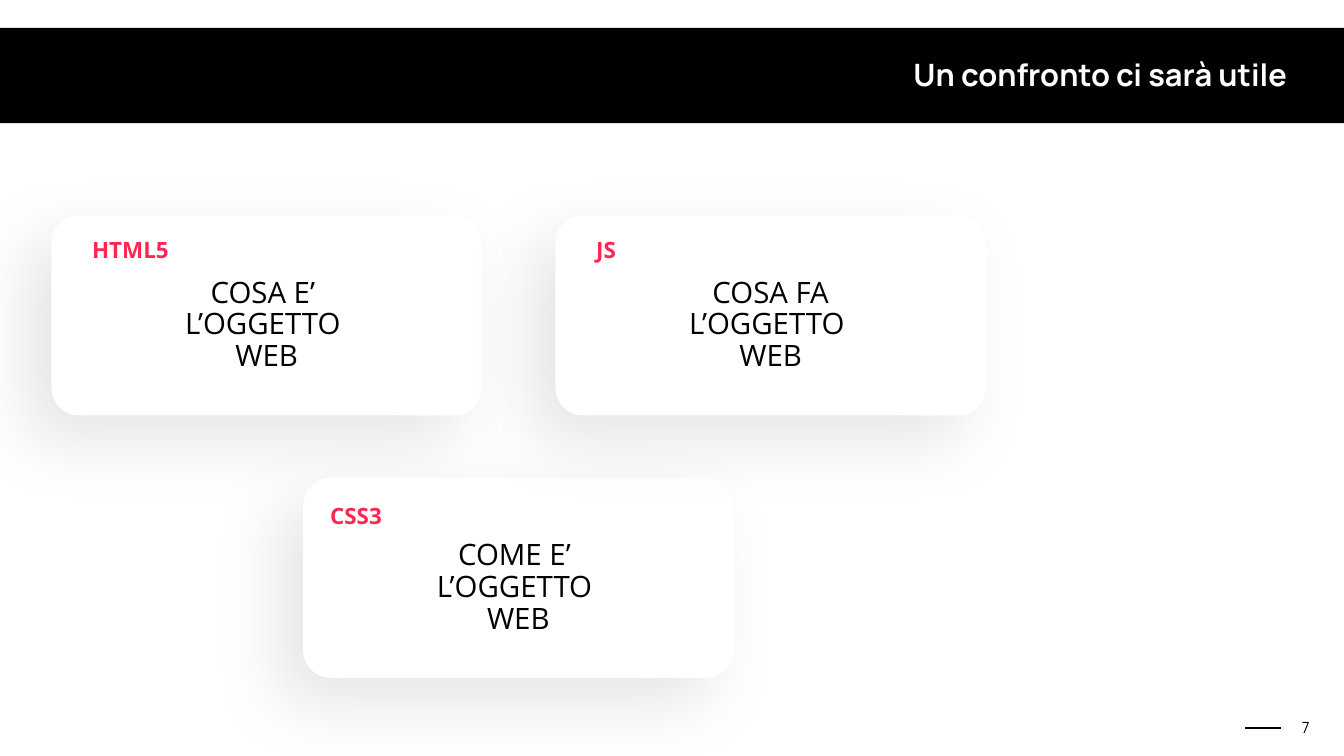
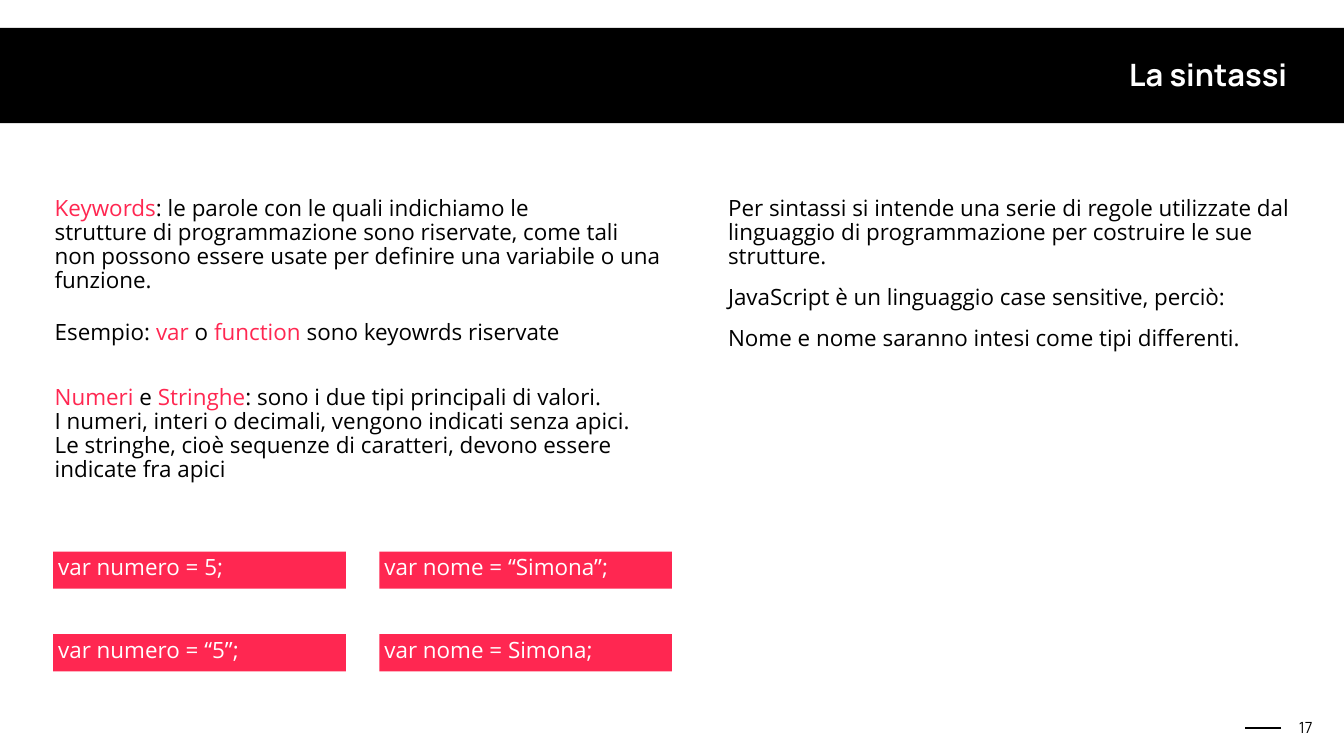
from lxml.etree import SubElement
from pptx import Presentation
from pptx.dml.color import RGBColor
from pptx.enum.shapes import MSO_CONNECTOR as LINE, MSO_SHAPE as SHAPE
from pptx.enum.text import MSO_ANCHOR as ANCHOR, PP_ALIGN as ALIGN
from pptx.oxml.ns import qn
from pptx.util import Pt

BLACK = RGBColor(0x00, 0x00, 0x00)
WHITE = RGBColor(0xFF, 0xFF, 0xFF)
PINK = RGBColor(0xFF, 0x27, 0x51)
TITLE_FONT = "Manrope"
BODY_FONT = "Open Sans"


def write(box, paragraphs, size=32, font=BODY_FONT, align=ALIGN.LEFT,
          anchor=ANCHOR.TOP, bold=False, inset=7.2, top=None, wrap=True):
    """Fill a box; each paragraph is (space before, [(text, colour), ...])."""
    frame = box.text_frame
    frame.word_wrap = wrap
    frame.vertical_anchor = anchor
    frame.margin_left = frame.margin_right = frame.margin_bottom = Pt(inset)
    frame.margin_top = Pt(inset if top is None else top)
    for index, (gap, spans) in enumerate(paragraphs):
        para = frame.add_paragraph() if index else frame.paragraphs[0]
        para.alignment = align
        para.line_spacing = 0.9
        para.space_before = Pt(gap)
        for text, colour in spans:
            span = para.add_run()
            span.text = text
            span.font.name = font
            span.font.size = Pt(size)
            span.font.bold = bold
            span.font.color.rgb = colour


def add_block(page, kind, left, top, width, height, colour):
    """Add a filled shape without outline or shadow."""
    block = page.shapes.add_shape(kind, Pt(left), Pt(top), Pt(width), Pt(height))
    block.fill.solid()
    block.fill.fore_color.rgb = colour
    block.line.fill.background()
    block.shadow.inherit = False
    return block


deck = Presentation()
deck.slide_width = Pt(1920)
deck.slide_height = Pt(1080)

# Shared frame: title band, footer rule, page number, title
pages = []
for title, number, title_left in [("Un confronto ci sarà utile", "7", 804),
                                  ("La sintassi", "17", 424)]:
    page = deck.slides.add_slide(deck.slide_layouts[6])
    pages.append(page)
    page.background.fill.solid()
    page.background.fill.fore_color.rgb = WHITE
    add_block(page, SHAPE.RECTANGLE, -15, 40, 1950, 136, BLACK)

    rule = page.shapes.add_connector(LINE.STRAIGHT, Pt(1830), Pt(1040), Pt(1779), Pt(1040))
    rule.line.color.rgb = BLACK
    rule.line.width = Pt(2)
    SubElement(rule._element.spPr, qn("a:effectLst"))

    box = page.shapes.add_textbox(Pt(1847.5), Pt(1022), Pt(36), Pt(35))
    write(box, [(0, [(number, BLACK)])], 22, TITLE_FONT, ALIGN.CENTER,
          ANCHOR.BOTTOM, inset=4)
    box = page.shapes.add_textbox(Pt(title_left), Pt(79), Pt(1843 - title_left), Pt(61))
    write(box, [(0, [(title, WHITE)])], 44, TITLE_FONT, ALIGN.RIGHT,
          ANCHOR.MIDDLE, bold=True, inset=4)

compare_page, syntax_page = pages

# Comparison cards: left, top, tag, tag offset and width, lines
cards = [
    (73.5, 307.5, "HTML5", 51, 27.5, 125, ["COSA E’ ", "L’OGGETTO ", "WEB"]),
    (433, 682.5, "CSS3", 31.5, 32.5, 89, ["COME E’ ", "L’OGGETTO ", "WEB"]),
    (793.5, 307.5, "JS", 51, 27.5, 43, ["COSA FA", "L’OGGETTO ", "WEB"]),
]
for left, top, tag, tag_x, tag_y, tag_width, lines in cards:
    card = add_block(compare_page, SHAPE.ROUNDED_RECTANGLE, left, top, 615, 286, WHITE)
    card.adjustments[0] = 0.14
    effects = card._element.spPr.find(qn("a:effectLst"))
    shadow = SubElement(effects, qn("a:outerShdw"), blurRad=str(Pt(100)),
                        dist=str(Pt(50)), dir=str(135 * 60000), rotWithShape="0")
    tint = SubElement(shadow, qn("a:srgbClr"), val=str(BLACK))
    SubElement(tint, qn("a:alpha"), val="9000")
    write(card, [(0, [(line, BLACK)]) for line in lines], 42,
          align=ALIGN.CENTER, anchor=ANCHOR.MIDDLE, top=36)

# Card tags, above all cards
for left, top, tag, tag_x, tag_y, tag_width, lines in cards:
    box = compare_page.shapes.add_textbox(Pt(left + tag_x), Pt(top + tag_y),
                                          Pt(tag_width), Pt(53))
    write(box, [(0, [(tag, PINK)])], bold=True, wrap=False)

# Syntax texts: left, top, width, height, paragraphs
syntax_texts = [
    (1033, 274, 828, 257, [
        (0, [("Per sintassi si intende una serie di regole utilizzate dal linguaggio "
              "di programmazione per costruire le sue strutture.", BLACK)]),
        (24, [("JavaScript è un linguaggio case sensitive, perciò:", BLACK)]),
        (24, [("Nome e nome saranno intesi come tipi differenti.", BLACK)]),
    ]),
    (71, 274, 881, 257, [
        (0, [("Keywords", PINK), (": le parole con le quali indichiamo le", BLACK)]),
        (0, [("strutture di programmazione sono riservate, come tali non possono "
              "essere usate per definire una variabile o una funzione.", BLACK)]),
        (39, [("Esempio: ", BLACK), ("var", PINK), (" o ", BLACK),
              ("function", PINK), (" sono keyowrds riservate", BLACK)]),
    ]),
    (71, 544, 893, 170, [
        (0, [("Numeri ", PINK), ("e ", BLACK), ("Stringhe", PINK),
             (": sono i due tipi principali di valori.", BLACK)]),
        (0, [("I numeri, interi o decimali, vengono indicati senza apici.", BLACK)]),
        (0, [("Le stringhe, cioè sequenze di caratteri, devono essere "
              "indicate fra apici", BLACK)]),
    ]),
]
for left, top, width, height, paragraphs in syntax_texts:
    box = syntax_page.shapes.add_textbox(Pt(left), Pt(top), Pt(width), Pt(height))
    write(box, paragraphs)

# Code samples in a two by two grid
samples = ["var numero = 5;", "var nome = “Simona”;",
           "var numero = “5”;", "var nome = Simona;"]
for index, sample in enumerate(samples):
    row, column = divmod(index, 2)
    block = add_block(syntax_page, SHAPE.RECTANGLE, 76 + 466 * column,
                      788 + 118 * row, 418, 53, PINK)
    write(block, [(0, [(sample, WHITE)])])

deck.save("out.pptx")
